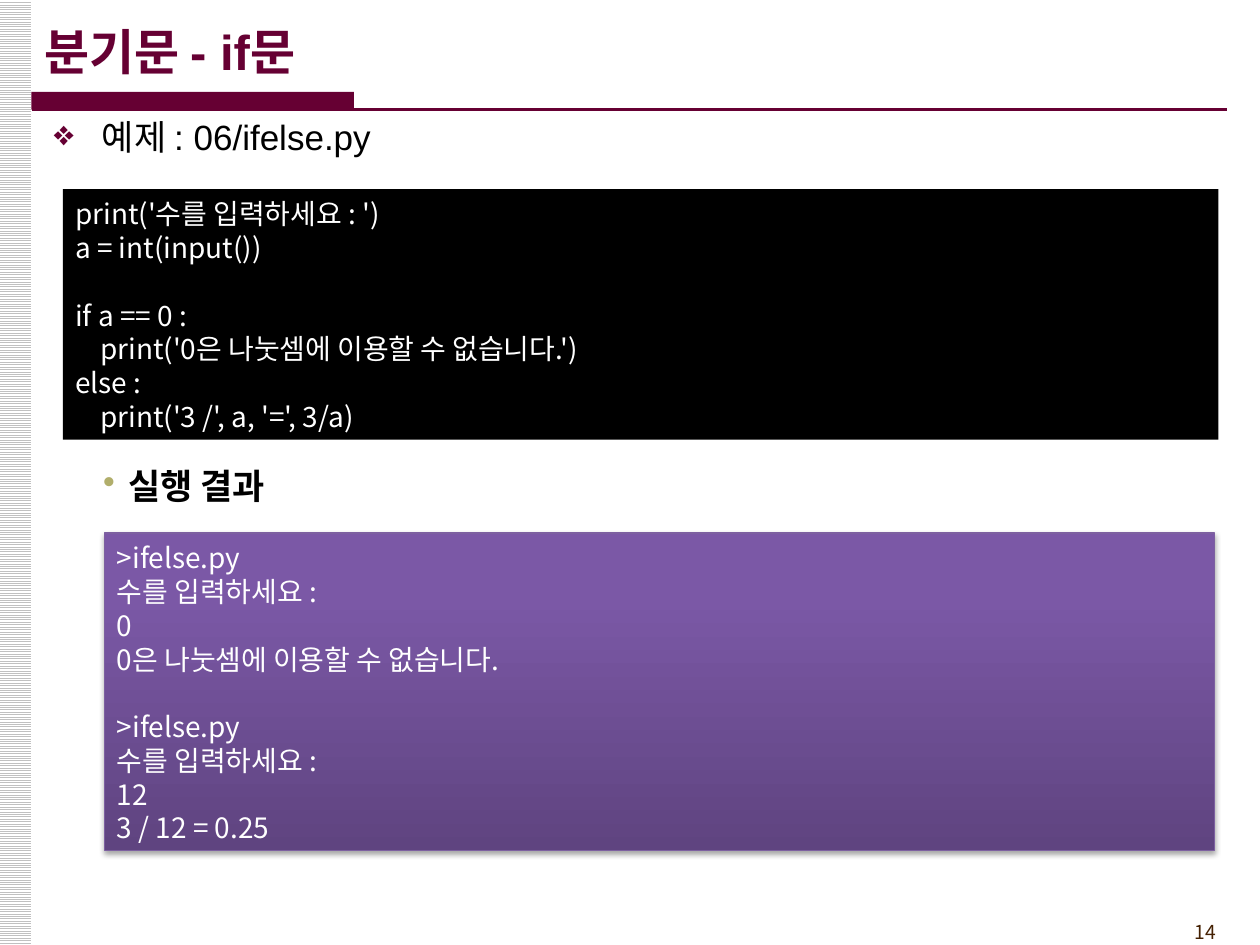
import pptx
import pptx.dml.color
import pptx.enum.dml
import pptx.enum.shapes
import pptx.enum.text
import pptx.oxml
import pptx.oxml.ns
import pptx.util
from pptx.util import Inches

MAROON = "660033"
WHITE = "FFFFFF"
KOREAN_FONT = "Noto Sans CJK KR"
CODE_LINE = pptx.util.Pt(19.3)
ALIGN = pptx.enum.text.PP_ALIGN
ANCHOR = pptx.enum.text.MSO_ANCHOR
qn = pptx.oxml.ns.qn

CODE = [
    "print('수를 입력하세요 : ')",
    "a = int(input())",
    "",
    "if a == 0 : ",
    "    print('0은 나눗셈에 이용할 수 없습니다.')",
    "else :",
    "    print('3 /', a, '=', 3/a)",
]
RESULT = [
    ">ifelse.py",
    "수를 입력하세요 :",
    "0",
    "0은 나눗셈에 이용할 수 없습니다.",
    "",
    ">ifelse.py",
    "수를 입력하세요 :",
    "12",
    "3 / 12 = 0.25",
]


def rgb(value):
    return pptx.dml.color.RGBColor.from_string(value)


def add_run(paragraph, text, size, color, font=KOREAN_FONT, bold=False):
    run = paragraph.add_run()
    run.text = text
    run.font.name = font
    run.font.size = pptx.util.Pt(size)
    run.font.bold = bold
    run.font.color.rgb = rgb(color)
    east_asian = run.font._element.makeelement(qn("a:ea"), {"typeface": KOREAN_FONT})
    run.font._element.find(qn("a:latin")).addnext(east_asian)


def add_rectangle(slide, left, top, width, height):
    rectangle = slide.shapes.add_shape(
        pptx.enum.shapes.MSO_SHAPE.RECTANGLE,
        Inches(left), Inches(top), Inches(width), Inches(height))
    rectangle.shadow.inherit = False
    rectangle.line.fill.background()
    return rectangle


def add_text_box(slide, left, top, width, height):
    box = slide.shapes.add_textbox(
        Inches(left), Inches(top), Inches(width), Inches(height))
    box.text_frame.word_wrap = True
    return box.text_frame


def add_frame(slide):
    """Draw the striped margin and the rule under the title."""
    margin = add_rectangle(slide, -0.01, 0, 0.26, 7.5)
    margin.fill.patterned()
    margin.fill.pattern = pptx.enum.dml.MSO_PATTERN.LIGHT_HORIZONTAL
    margin.fill.fore_color.rgb = rgb("C0C0C0")
    margin.fill.back_color.rgb = rgb(WHITE)

    title_bar = add_rectangle(slide, 0.25, 0.73, 2.56, 0.14)
    title_bar.fill.solid()
    title_bar.fill.fore_color.rgb = rgb(MAROON)

    rule = slide.shapes.add_connector(
        pptx.enum.shapes.MSO_CONNECTOR.STRAIGHT,
        Inches(0.25), Inches(0.87), Inches(9.74), Inches(0.87))
    rule.line.color.rgb = rgb(MAROON)
    rule.line.width = pptx.util.Pt(1.5)
    properties = rule._element.spPr
    properties.append(properties.makeelement(qn("a:effectLst"), {}))


def set_title(slide, text):
    title = slide.shapes.title
    title.left, title.top = Inches(0.25), Inches(0.09)
    title.width, title.height = Inches(9.34), Inches(0.63)
    title.text_frame.vertical_anchor = ANCHOR.MIDDLE
    paragraph = title.text_frame.paragraphs[0]
    paragraph.alignment = ALIGN.LEFT
    add_run(paragraph, text, 28, MAROON, "Arial", bold=True)


def add_bullet_line(slide, left, top, text, bullet, bullet_color, indent, bold=False):
    frame = add_text_box(slide, left, top, 8.8, 0.5)
    paragraph = frame.paragraphs[0]
    properties = paragraph._p.get_or_add_pPr()
    properties.set("marL", str(Inches(indent)))
    properties.set("indent", str(-Inches(indent)))
    color = properties.makeelement(qn("a:buClr"), {})
    color.append(color.makeelement(qn("a:srgbClr"), {"val": bullet_color}))
    properties.append(color)
    properties.append(properties.makeelement(qn("a:buChar"), {"char": bullet}))
    add_run(paragraph, text, 20, "000000", "Arial", bold)


def add_code_panel(slide, left, top, width, height, lines):
    """Add a rectangle of code; an empty line becomes space before the next one."""
    panel = add_rectangle(slide, left, top, width, height)
    frame = panel.text_frame
    frame.word_wrap = True
    frame.vertical_anchor = ANCHOR.TOP
    frame.margin_top = Inches(0.06)
    paragraph = frame.paragraphs[0]
    for number, line in enumerate(lines):
        if not line:
            continue
        if number:
            paragraph = frame.add_paragraph()
            if not lines[number - 1]:
                paragraph.space_before = CODE_LINE
        paragraph.alignment = ALIGN.JUSTIFY
        paragraph.line_spacing = CODE_LINE
        add_run(paragraph, line, 16, WHITE)
    return panel


def style_result_panel(panel):
    panel.line.color.rgb = rgb("7D60A0")
    panel.line.width = pptx.util.Pt(0.75)
    panel.fill.gradient()
    panel.fill.gradient_angle = 90
    properties = panel._element.spPr
    stops = properties.find(qn("a:gradFill")).find(qn("a:gsLst"))
    for stop in list(stops):
        stops.remove(stop)
    for percent, color in ((0, "5F4480"), (80, "7B58A6"), (100, "7C57A8")):
        stop = stops.makeelement(qn("a:gs"), {"pos": str(percent * 1000)})
        stop.append(stop.makeelement(qn("a:srgbClr"), {"val": color}))
        stops.append(stop)
    properties.find(qn("a:effectLst")).append(pptx.oxml.parse_xml(
        f'<a:outerShdw {pptx.oxml.ns.nsdecls("a")} blurRad="40000" dist="23000"'
        ' dir="5400000" rotWithShape="0"><a:srgbClr val="000000">'
        '<a:alpha val="35000"/></a:srgbClr></a:outerShdw>'))


def add_page_number(slide, number):
    frame = add_text_box(slide, 8.92, 7.25, 0.83, 0.29)
    frame.vertical_anchor = ANCHOR.MIDDLE
    frame.paragraphs[0].alignment = ALIGN.RIGHT
    add_run(frame.paragraphs[0], number, 11, "452103")


def main():
    presentation = pptx.Presentation()
    presentation.slide_width = Inches(10)
    presentation.slide_height = Inches(7.5)
    slide = presentation.slides.add_slide(presentation.slide_layouts[5])

    add_frame(slide)
    set_title(slide, "분기문 - if문")
    add_bullet_line(slide, 0.33, 0.87, "예제 : 06/ifelse.py", "❖", MAROON, 0.38)
    code_panel = add_code_panel(slide, 0.5, 1.5, 9.17, 1.99, CODE)
    code_panel.fill.solid()
    code_panel.fill.fore_color.rgb = rgb("000000")
    add_bullet_line(slide, 0.72, 3.64, "실행 결과", "•", "B1AE6B", 0.2, bold=True)
    result_panel = add_code_panel(slide, 0.83, 4.23, 8.81, 2.52, RESULT)
    style_result_panel(result_panel)
    add_page_number(slide, "14")

    presentation.save("out.pptx")


if __name__ == "__main__":
    main()
